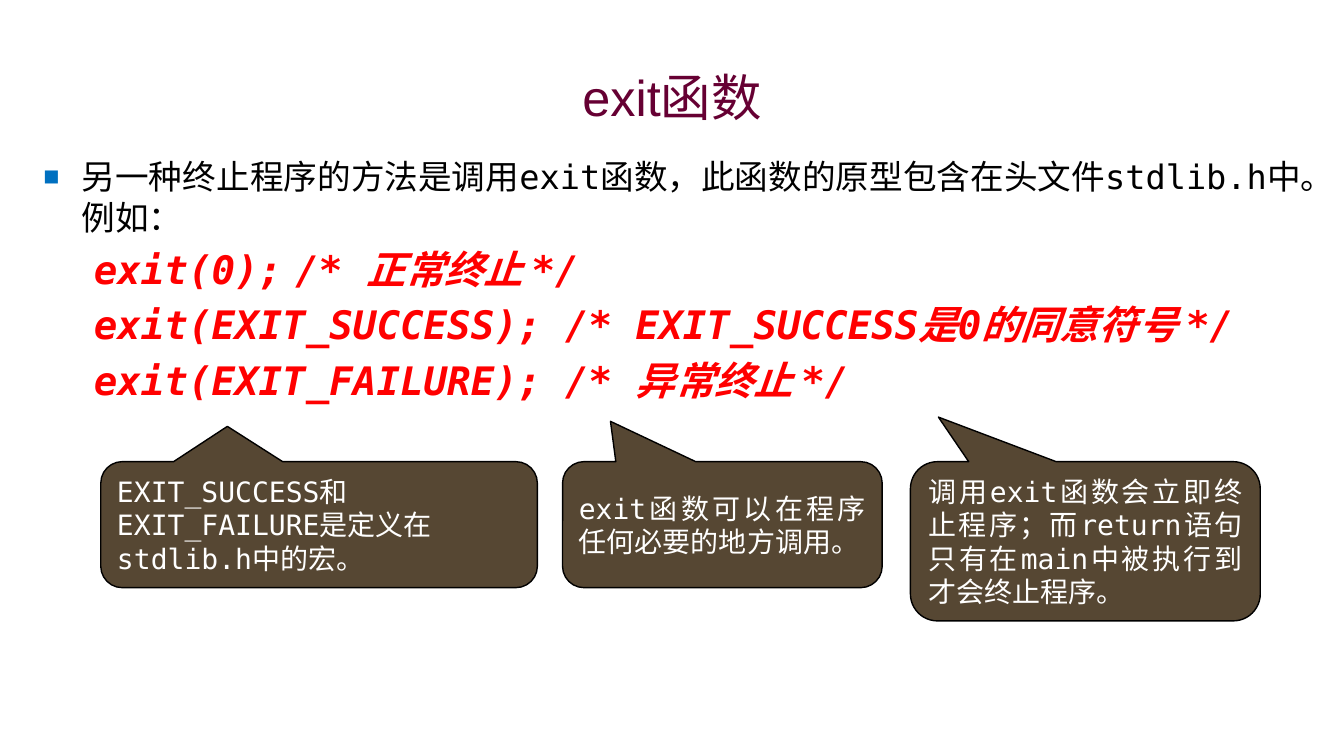
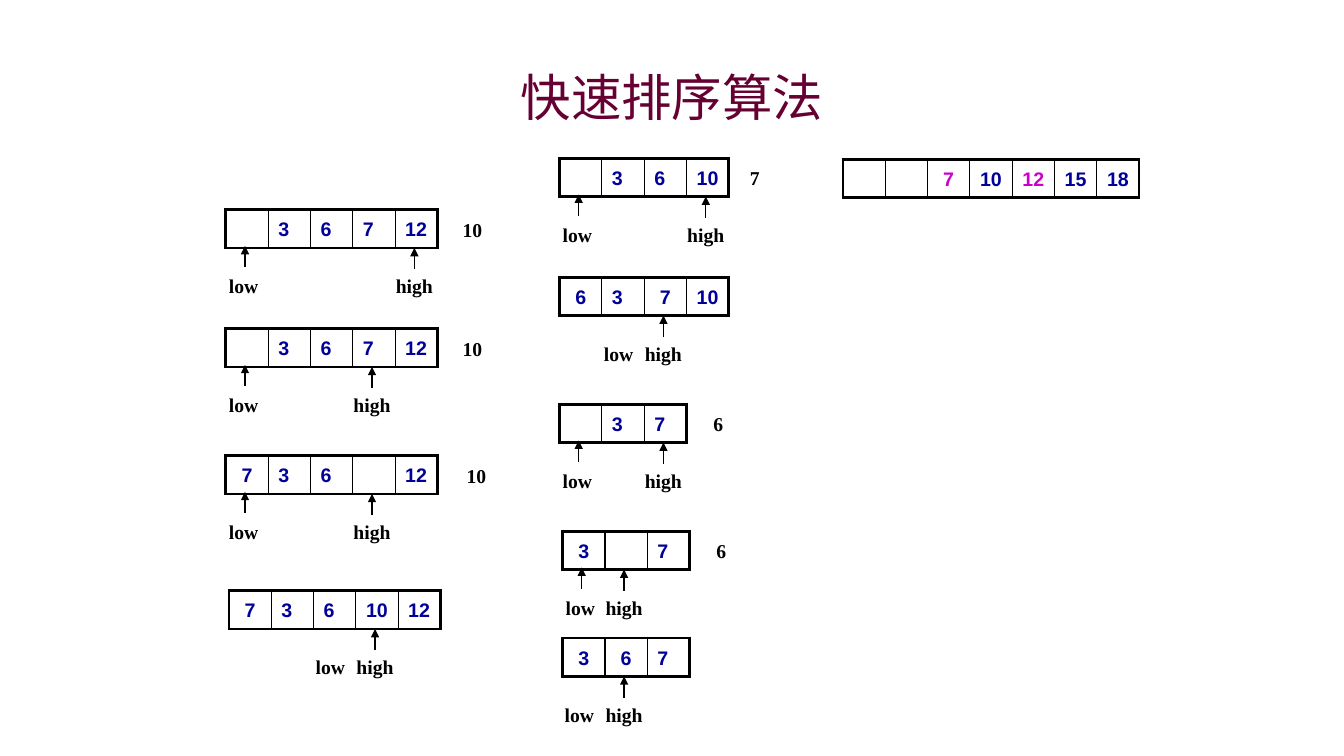
from lxml import etree
from pptx import Presentation
from pptx.dml.color import RGBColor
from pptx.enum.shapes import MSO_CONNECTOR, MSO_SHAPE
from pptx.enum.text import MSO_ANCHOR, MSO_AUTO_SIZE, PP_ALIGN
from pptx.oxml import parse_xml
from pptx.oxml.ns import nsdecls, qn
from pptx.util import Inches, Pt

LEFT, CENTER, JUSTIFY = PP_ALIGN.LEFT, PP_ALIGN.CENTER, PP_ALIGN.JUSTIFY
MIDDLE = MSO_ANCHOR.MIDDLE
NO_AUTOFIT = MSO_AUTO_SIZE.NONE
CALLOUT = MSO_SHAPE.ROUNDED_RECTANGULAR_CALLOUT
STRAIGHT = MSO_CONNECTOR.STRAIGHT

PLUM = RGBColor(0x66, 0x00, 0x33)
BLACK = RGBColor(0x00, 0x00, 0x00)
WHITE = RGBColor(0xFF, 0xFF, 0xFF)
RED = RGBColor(0xFF, 0x00, 0x00)
BLUE = RGBColor(0x00, 0x70, 0xC0)
BROWN = RGBColor(0x2C, 0x1A, 0x00)
NAVY = RGBColor(0x00, 0x00, 0x99)
MAGENTA = RGBColor(0xCC, 0x00, 0xCC)

MONO = "DejaVu Sans Mono"
TITLE = dict(name="Arial", size=Pt(36), color=PLUM)
PROSE = dict(name=MONO, size=Pt(24), color=BLACK)
CODE = dict(name=MONO, size=Pt(28), color=RED, bold=True, italic=True)
NOTE = dict(name=MONO, size=Pt(20), color=WHITE)
KEY = dict(name="Arial", size=Pt(14), color=NAVY, bold=True)
PLACED_KEY = dict(KEY, color=MAGENTA)
LABEL = dict(name="Times New Roman", size=Pt(14), color=BLACK, bold=True)

TITLE_BOX = (1, 0.58, 11.33, 0.75)
BODY_BOX = (0.33, 1.5, 12.67, 5.67)

# Slide 1
EXIT_INTRO = "另一种终止程序的方法是调用exit函数，此函数的原型包含在头文件stdlib.h中。例如："
EXIT_CODE = [
    "exit(0);\t/* 正常终止 */",
    "exit(EXIT_SUCCESS); /* EXIT_SUCCESS是0的同意符号 */",
    "exit(EXIT_FAILURE); /* 异常终止 */",
]
COMMENT_TAB = 3.09
CALLOUT_TOP = 4.58
# left, width, height, pointer tip and corner, alignment, text
EXIT_NOTES = [
    (1, 4.33, 1.25, (-0.21, -0.78, 0.17), LEFT,
     "EXIT_SUCCESS和EXIT_FAILURE是定义在stdlib.h中的宏。"),
    (5.58, 3.17, 1.25, (-0.35, -0.82, 0.17), JUSTIFY,
     "exit函数可以在程序任何必要的地方调用。"),
    (9.03, 3.47, 1.58, (-0.42, -0.78, 0.17), JUSTIFY,
     "调用exit函数会立即终止程序；而return语句只有在main中被执行到才会终止程序。"),
]

# Slide 2: left, top, keys, low index, high index, (pivot, its gap to the array)
SORT_STEPS = [
    (2.24, 2.08, ["", "3", "6", "7", "12"], 0, 4, ("10", 0.17)),
    (2.24, 3.26, ["", "3", "6", "7", "12"], 0, 3, ("10", 0.17)),
    (2.24, 4.52, ["7", "3", "6", "", "12"], 0, 3, ("10", 0.21)),
    (2.27, 5.86, ["7", "3", "6", "10", "12"], 3, 3, None),
    (5.55, 1.57, ["", "3", "6", "10"], 0, 3, ("7", 0.08)),
    (5.55, 2.75, ["6", "3", "7", "10"], 2, 2, None),
    (5.55, 4.01, ["", "3", "7"], 0, 2, ("6", 0.14)),
    (5.58, 5.27, ["3", "", "7"], 0, 1, ("6", 0.14)),
    (5.58, 6.33, ["3", "6", "7"], 1, 1, None),
]
SORTED_PART = (8.36, 1.58, ["", "", "7", "10", "12", "15", "18"])
PLACED = {"7", "12"}

CELL_W, CELL_H = 0.42, 0.38
POINTER_X = 0.19        # from the left of a cell
POINTER_LENGTH = 0.21
LABEL_DROP = 0.64       # from the top of the array
LABEL_H, LOW_W, HIGH_W = 0.24, 0.35, 0.63
MEETING_SHIFT = 0.59    # low label, left of a shared pointer
THIN, THICK = Pt(1), Pt(2.25)


def inches(*lengths):
    return [Inches(length) for length in lengths]


def write(paragraph, text, style, align=None):
    paragraph.alignment = align
    run = paragraph.add_run()
    run.text = text
    for field, value in style.items():
        if field == "color":
            run.font.color.rgb = value
        else:
            setattr(run.font, field, value)


def set_up_master(master):
    for idx, box in enumerate((TITLE_BOX, BODY_BOX)):
        holder = master.placeholders[idx]
        holder.left, holder.top, holder.width, holder.height = inches(*box)
        holder.text_frame.auto_size = NO_AUTOFIT


def add_titled_slide(prs, layout, title):
    slide = prs.slides.add_slide(prs.slide_layouts[layout])
    write(slide.shapes.title.text_frame.paragraphs[0], title, TITLE, CENTER)
    return slide


def indent(paragraph, margin, first_line, *marks):
    """Set the indents, then append bullet or tab marks given as XML."""
    props = paragraph._p.get_or_add_pPr()
    props.set("marL", str(Inches(margin)))
    props.set("indent", str(Inches(first_line)))
    paragraph.space_before = Pt(6)
    for mark in marks:
        head, tail = mark.split(" ", 1)
        props.append(parse_xml(f"<a:{head} {nsdecls('a')} {tail}"))


def add_callout(slide, left, width, height, adjustments, align, text):
    note = slide.shapes.add_shape(
        CALLOUT, *inches(left, CALLOUT_TOP, width, height))
    for index, value in enumerate(adjustments):
        note.adjustments[index] = value
    note.shadow.inherit = False
    note.fill.solid()
    note.fill.fore_color.rgb = BROWN
    color = note._element.spPr.find(qn("a:solidFill"))[0]
    etree.SubElement(color, qn("a:alpha")).set("val", "80000")
    note.line.color.rgb = BLACK
    note.line.width = THIN
    note.text_frame.vertical_anchor = MIDDLE
    write(note.text_frame.paragraphs[0], text, NOTE, align)


def set_borders(cell, **widths):
    props = cell._tc.get_or_add_tcPr()
    for position, (side, width) in enumerate(widths.items()):
        props.insert(position, parse_xml(
            f'<a:{side} {nsdecls("a")} w="{width}"><a:solidFill>'
            f'<a:srgbClr val="{BLACK}"/></a:solidFill></a:{side}>'))


def add_array(slide, left, top, keys, centered, placed=()):
    """Draw one row of keys; centered holds the indices of centred cells."""
    count = len(keys)
    table = slide.shapes.add_table(
        1, count, *inches(left, top, count * CELL_W, CELL_H)).table
    table.first_row = table.horz_banding = False
    for index, key in enumerate(keys):
        table.columns[index].width = Inches(CELL_W)
        cell = table.cell(0, index)
        middle = index in centered
        cell.margin_left = 0 if middle else Inches(0.1)
        cell.margin_right = cell.margin_bottom = 0
        cell.margin_top = Inches(0.02)
        cell.vertical_anchor = MIDDLE
        cell.fill.background()
        set_borders(cell, lnL=THIN if index else THICK,
                    lnR=THIN if index < count - 1 else THICK,
                    lnT=THICK, lnB=THICK)
        if key:
            write(cell.text_frame.paragraphs[0], key,
                  PLACED_KEY if key in placed else KEY,
                  CENTER if middle else LEFT)


def add_label(slide, left, top, width, text, align):
    frame = slide.shapes.add_textbox(
        *inches(left, top, width, LABEL_H)).text_frame
    frame.margin_left = frame.margin_right = 0
    frame.margin_top = frame.margin_bottom = 0
    frame.word_wrap = True
    write(frame.paragraphs[0], text, LABEL, align)


def add_pointer(slide, x, tip):
    arrow = slide.shapes.add_connector(
        STRAIGHT, *inches(x, tip + POINTER_LENGTH, x, tip))
    arrow.line.color.rgb = BLACK
    arrow.line.width = THIN
    etree.SubElement(arrow.line._get_or_add_ln(),
                     qn("a:tailEnd")).set("type", "triangle")
    etree.SubElement(arrow._element.spPr, qn("a:effectLst"))


def add_sort_step(slide, left, top, keys, low, high, pivot):
    met = low == high
    add_array(slide, left, top, keys, {0, high} if met else {0})
    low_x, high_x = (left + i * CELL_W + POINTER_X for i in (low, high))
    label_top = top + LABEL_DROP
    if pivot:
        value, gap = pivot
        add_label(slide, left + len(keys) * CELL_W + gap, top + 0.08,
                  LOW_W, value, CENTER)
    add_label(slide, high_x - HIGH_W / 2, label_top, HIGH_W, "high", CENTER)
    low_left = high_x - MEETING_SHIFT if met else low_x - 0.16
    add_label(slide, low_left, label_top, LOW_W, "low", LEFT)
    add_pointer(slide, high_x, top + CELL_H)
    if not met:
        add_pointer(slide, low_x, top + CELL_H - 0.02)


def build_exit_slide(prs):
    slide = add_titled_slide(prs, 1, "exit函数")
    body = slide.placeholders[1].text_frame
    intro = body.paragraphs[0]
    write(intro, EXIT_INTRO, PROSE, JUSTIFY)
    indent(intro, 0.38, -0.38,
           f'buClr ><a:srgbClr val="{BLUE}"/></a:buClr>',
           'buSzPct val="80000"/>', 'buFont typeface="Arial"/>',
           'buChar char="■"/>')
    for code in EXIT_CODE:
        line = body.add_paragraph()
        line.level = 1
        write(line, code, CODE, JUSTIFY)
        indent(line, 0, 0.5, "buNone />",
               f'tabLst ><a:tab pos="{Inches(COMMENT_TAB)}" algn="l"/></a:tabLst>')
    for note in EXIT_NOTES:
        add_callout(slide, *note)


def build_sort_slide(prs):
    slide = add_titled_slide(prs, 5, "快速排序算法")
    for step in SORT_STEPS:
        add_sort_step(slide, *step)
    add_array(slide, *SORTED_PART, range(len(SORTED_PART[2])), PLACED)


def main():
    prs = Presentation()
    prs.slide_width, prs.slide_height = inches(13.33, 7.5)
    set_up_master(prs.slide_master)
    build_exit_slide(prs)
    build_sort_slide(prs)
    prs.save("out.pptx")


if __name__ == "__main__":
    main()
